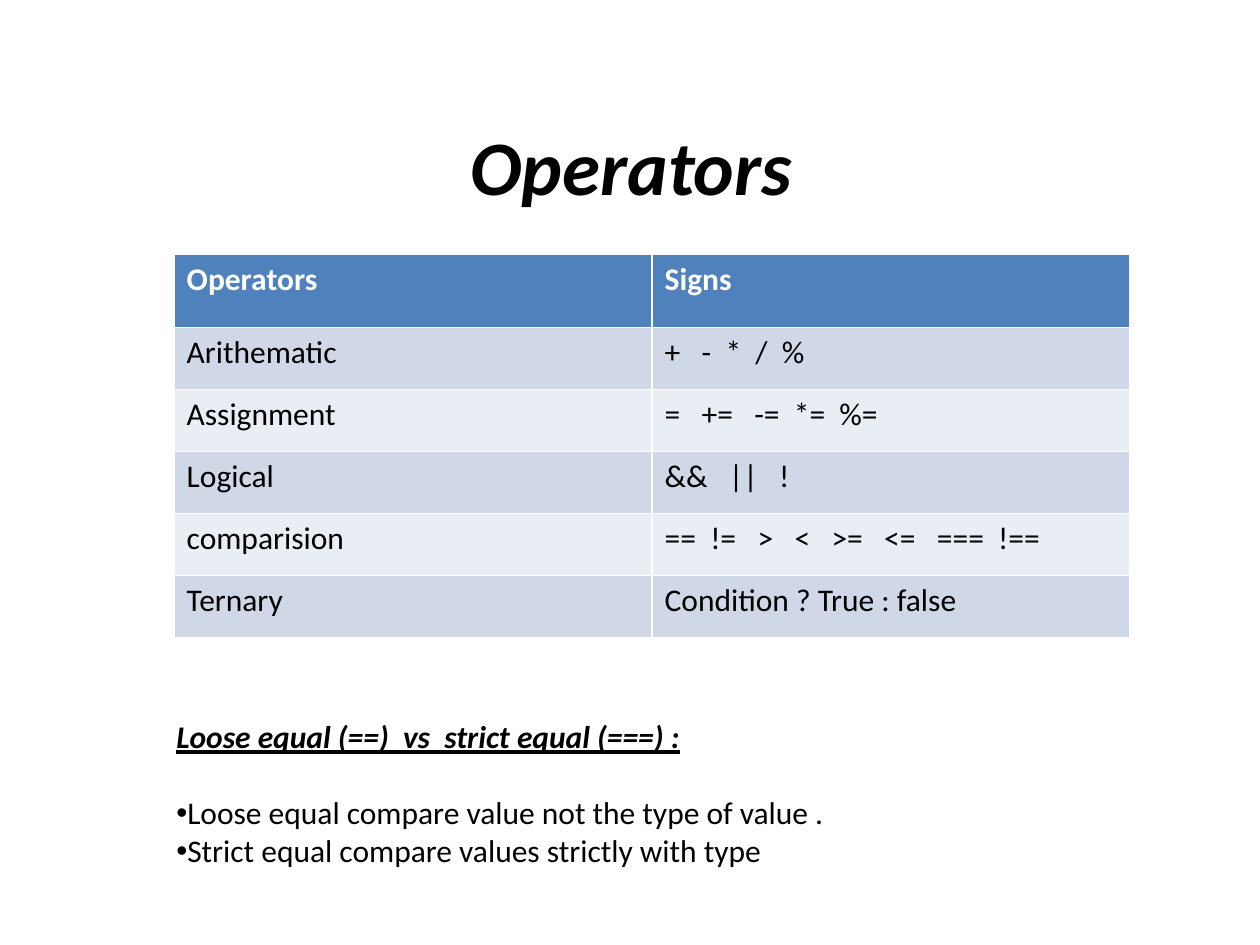
from dataclasses import dataclass

from lxml import etree
from pptx import Presentation
from pptx.dml.color import RGBColor
from pptx.enum.text import MSO_ANCHOR, MSO_AUTO_SIZE, PP_ALIGN
from pptx.oxml.ns import qn
from pptx.util import Cm, Pt

MIDDLE, TOP = MSO_ANCHOR.MIDDLE, MSO_ANCHOR.TOP
CENTER, LEFT = PP_ALIGN.CENTER, PP_ALIGN.LEFT
NO_AUTOFIT = MSO_AUTO_SIZE.NONE


@dataclass(frozen=True)
class Theme:
    font: str = "Calibri"
    title_size: Pt = Pt(44)
    text_size: Pt = Pt(18)
    line_gap: Pt = Pt(22)
    text: RGBColor = RGBColor(0x00, 0x00, 0x00)
    header_text: RGBColor = RGBColor(0xFF, 0xFF, 0xFF)
    header_fill: RGBColor = RGBColor(0x4F, 0x81, 0xBD)
    bands: tuple = (RGBColor(0xE9, 0xED, 0xF4), RGBColor(0xD0, 0xD8, 0xE8))


theme = Theme()


def write(paragraph, text, color=theme.text, **formats):
    run = paragraph.add_run()
    run.text = text
    run.font.color.rgb = color
    values = {"name": theme.font, "size": theme.text_size, "bold": False, **formats}
    for name, value in values.items():
        setattr(run.font, name, value)


def place(shape, left, top, width, height, anchor):
    box = {"left": left, "top": top, "width": width, "height": height}
    for name, value in box.items():
        setattr(shape, name, Cm(value))
    shape.text_frame.word_wrap = True
    shape.text_frame.auto_size = NO_AUTOFIT
    shape.text_frame.vertical_anchor = anchor


presentation = Presentation()
presentation.slide_width = Cm(25.4)
presentation.slide_height = Cm(19.05)
slide = presentation.slides.add_slide(presentation.slide_layouts[1])

title = slide.shapes.title
place(title, 1.3, 1.73, 22.86, 3.18, MIDDLE)
title_paragraph = title.text_frame.paragraphs[0]
title_paragraph.alignment = CENTER
write(title_paragraph, "Operators", size=theme.title_size, bold=True, italic=True)

operator_rows = [
    ("Operators", "Signs"),
    ("Arithematic", "+   -  *  /  %"),
    ("Assignment", "=   +=   -=  *=  %="),
    ("Logical", "&&   ||   !"),
    ("comparision", "==  !=   >   <   >=   <=   ===  !=="),
    ("Ternary", "Condition ? True : false"),
]
header_height, row_height = 1.47, 1.25
table_height = header_height + row_height * (len(operator_rows) - 1)
table = slide.shapes.add_table(
    len(operator_rows), 2, Cm(3.51), Cm(5.13), Cm(19.27), Cm(table_height)
).table
for row_index, texts in enumerate(operator_rows):
    is_header = row_index == 0
    table.rows[row_index].height = Cm(header_height if is_header else row_height)
    fill = theme.header_fill if is_header else theme.bands[row_index % 2]
    color = theme.header_text if is_header else theme.text
    for column_index, text in enumerate(texts):
        cell = table.cell(row_index, column_index)
        cell.fill.solid()
        cell.fill.fore_color.rgb = fill
        write(cell.text_frame.paragraphs[0], text, color, bold=is_header)

body = slide.placeholders[1]
place(body, 3.3, 14.33, 19.99, 3.33, TOP)
heading_format = {"bold": True, "italic": True, "underline": True}
comparison_lines = [
    ("Loose equal (==)  vs  strict equal (===) :", None, theme.line_gap, heading_format),
    ("Loose equal compare value not the type of value .", "•", Pt(0), {}),
    ("Strict equal compare values strictly with type", "•", Pt(0), {}),
]
for index, (text, bullet, space_after, formats) in enumerate(comparison_lines):
    frame = body.text_frame
    paragraph = frame.add_paragraph() if index else frame.paragraphs[0]
    layout = {"alignment": LEFT, "space_before": Pt(0), "space_after": space_after}
    for name, value in layout.items():
        setattr(paragraph, name, value)
    properties = paragraph._p.get_or_add_pPr()
    for name in ("marL", "indent"):
        properties.set(name, "0")
    if bullet:
        etree.SubElement(properties, qn("a:buFont"), typeface="Arial")
        etree.SubElement(properties, qn("a:buChar"), char=bullet)
    else:
        etree.SubElement(properties, qn("a:buNone"))
    write(paragraph, text, **formats)

presentation.save("out.pptx")
